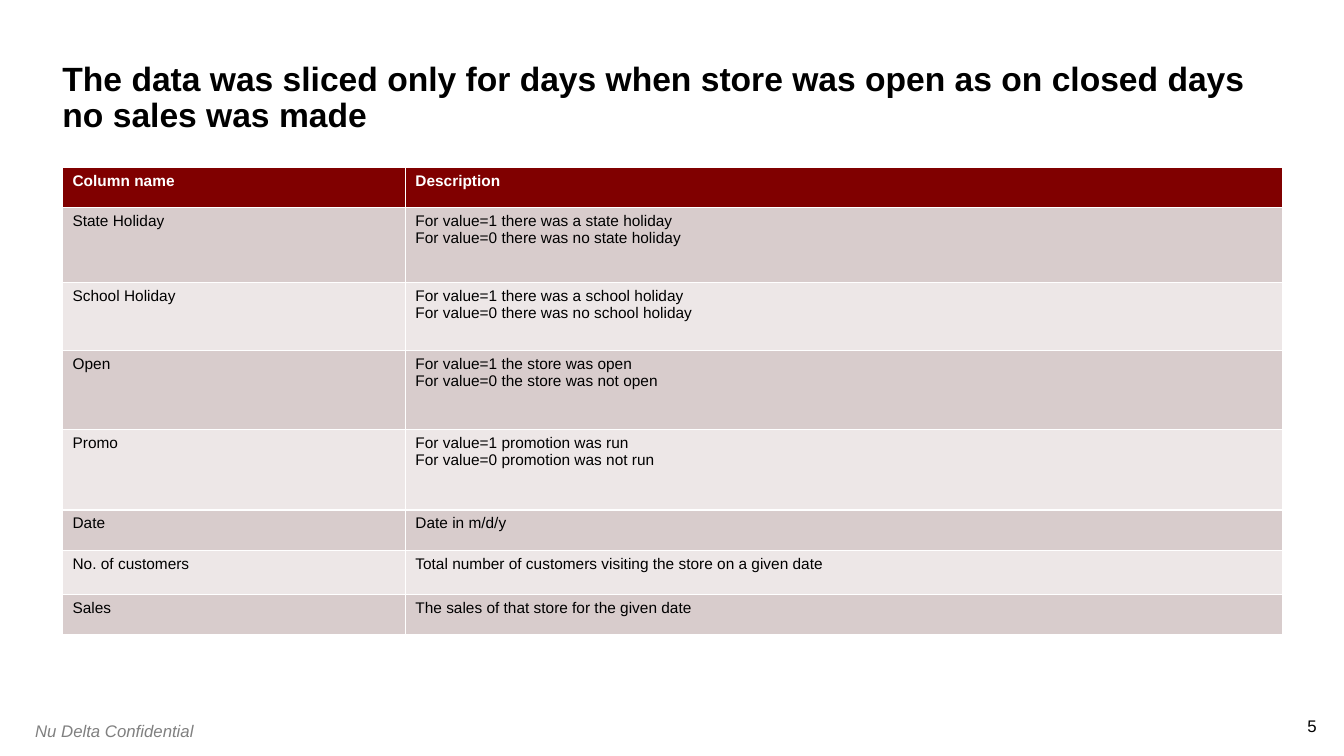
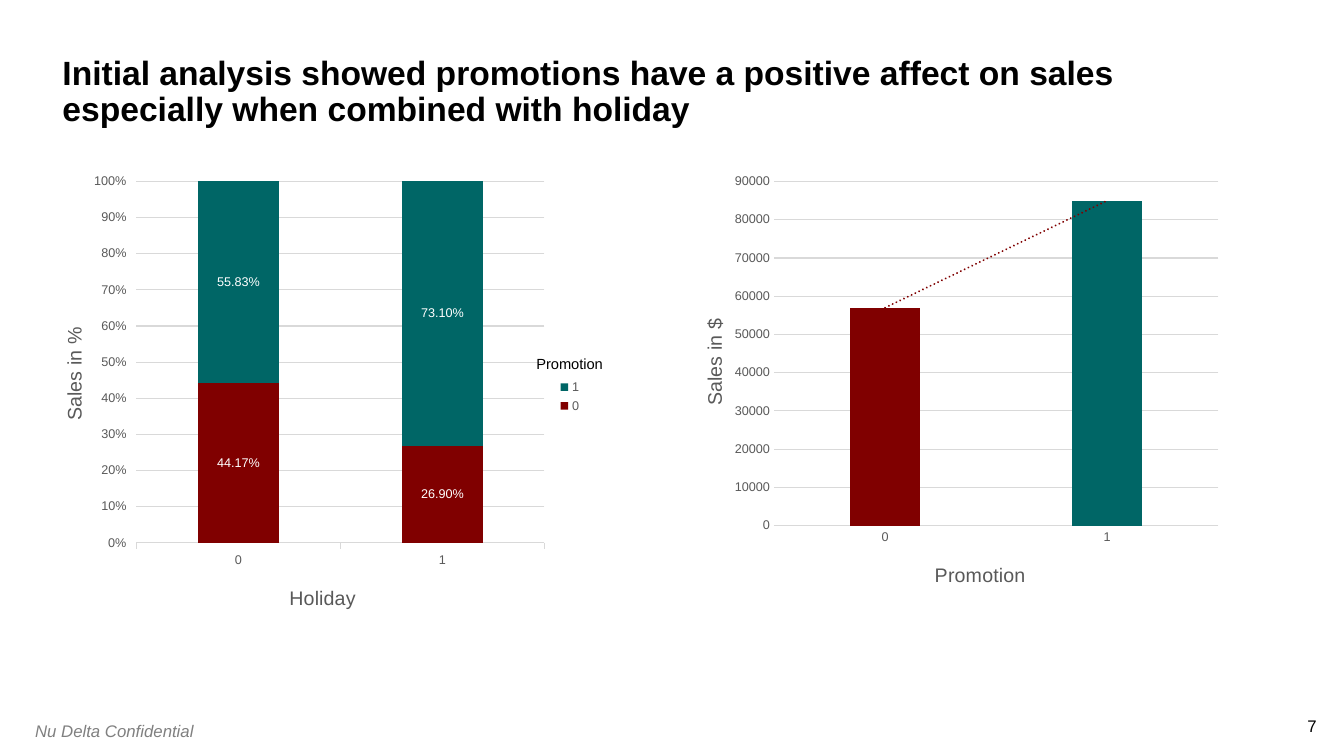
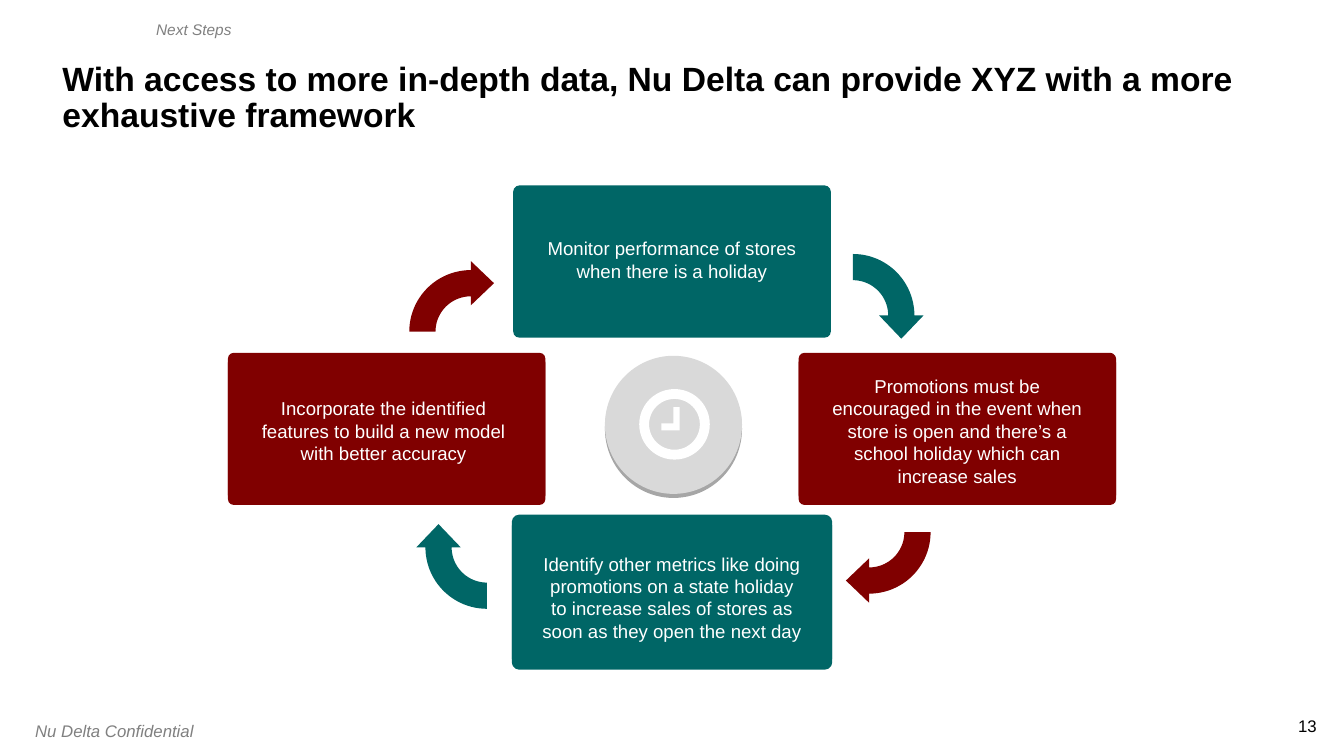
import math

from lxml import etree
from pptx import Presentation
from pptx.chart.data import CategoryChartData
from pptx.dml.color import RGBColor
from pptx.enum import chart as ch, shapes, text
from pptx.oxml import parse_xml
from pptx.oxml.ns import nsdecls, qn
from pptx.util import Inches, Pt

FONT = "Arial"
RED, TEAL, WHITE, BLACK = "800000", "006666", "FFFFFF", "000000"
GREY, AXIS_TEXT, RULE = "808080", "595959", "D9D9D9"
BANDS = ("D8CCCC", "EDE7E7")
FOOTER = "Nu Delta Confidential"
MIDDLE, BOTTOM = text.MSO_ANCHOR.MIDDLE, text.MSO_ANCHOR.BOTTOM
CENTER, RIGHT = text.PP_ALIGN.CENTER, text.PP_ALIGN.RIGHT

COLUMN_WIDTHS = (3.4, 8.7)
ROWS = [  # height, name, description
    (0.4, "Column name", "Description"),
    (0.74, "State Holiday", "For value=1 there was a state holiday\nFor value=0 there was no state holiday"),
    (0.68, "School Holiday", "For value=1 there was a school holiday\nFor value=0 there was no school holiday"),
    (0.78, "Open", "For value=1 the store was open\nFor value=0 the store was not open"),
    (0.8, "Promo", "For value=1 promotion was run\nFor value=0 promotion was not run"),
    (0.4, "Date", "Date in m/d/y"),
    (0.44, "No. of customers", "Total number of customers visiting the store on a given date"),
    (0.4, "Sales", "The sales of that store for the given date"),
]

# Layouts are fractions of the chart: x, y and, where needed, width, height
SHARE_CHART = dict(
    kind=ch.XL_CHART_TYPE.COLUMN_STACKED_100, at=(0.33, 1.64, 5.53, 4.58),
    series=[("0", (0.4417, 0.269), RED), ("1", (0.5583, 0.731), TEAL)],
    gap=150, overlap=100, tick=ch.XL_TICK_MARK.OUTSIDE,
    fmt="0%", top=1, step=0.1, plot=(0.185, 0.035, 0.732, 0.783),
    cat_title=("Holiday", (0.453, 0.903)), val_title=("Sales in %", (0.044, 0.342)))
SALES_CHART = dict(
    kind=ch.XL_CHART_TYPE.COLUMN_CLUSTERED, at=(6.67, 1.64, 5.53, 4.35),
    series=[("Series 1", (57000, 85000), RED)],
    gap=219, overlap=-27, tick=ch.XL_TICK_MARK.NONE,
    fmt="General", top=90000, step=10000, plot=(0.182, 0.037, 0.797, 0.785),
    cat_title=("Promotion", (0.464, 0.898)), val_title=("Sales in $", (0.046, 0.341)))
LEGEND_AT = (0.935, 0.456, 0.055, 0.09)

STEP_SIZE = (3.15, 1.47)
STEPS = [  # left, top, text shift (x, y), colour, outlined, text
    (7.92, 3.5, (0, 0.04), RED, False,
     "Promotions must be encouraged in the event when store is open and there’s a school holiday which can increase sales"),
    (2.26, 3.5, (-0.03, 0.04), RED, False,
     "Incorporate the identified features to build a new model with better accuracy"),
    (5.09, 1.84, (0, 0), TEAL, False,
     "Monitor performance of stores when there is a holiday"),
    (5.09, 5.12, (0, 0.07), TEAL, True,
     "Identify other metrics like doing promotions on a state holiday to increase sales of stores as soon as they open the next day"),
]
# Arc centres, clockwise from the upper right; each is turned a quarter further
ARROWS = [(8.46, 3.13, TEAL), (8.62, 5.28, RED), (4.83, 5.43, TEAL), (4.67, 3.29, RED)]
CLOCK_HANDS = [(6.56, 4.2), (6.68, 4.2), (6.68, 4.04), (6.74, 4.04), (6.74, 4.27), (6.56, 4.27)]


def rgb(color):
    return RGBColor.from_string(color)


def style(font, size, color, **flags):
    values = dict(name=FONT, size=Pt(size), **flags)
    for name, value in values.items():
        setattr(font, name, value)
    font.color.rgb = rgb(color)


def set_text(tf, content, size, color, align=None, spacing=None, **flags):
    for i, line in enumerate(content.split("\n")):
        p = tf.paragraphs[0] if i == 0 else tf.add_paragraph()
        p.alignment, p.line_spacing = align, spacing
        r = p.add_run()
        r.text = line
        style(r.font, size, color, **flags)


def set_insets(tf, left=0, top=0, right=0, bottom=0):
    for side, value in dict(left=left, top=top, right=right, bottom=bottom).items():
        setattr(tf, f"margin_{side}", Inches(value))


def add_text(s, at, content, size, color, anchor=None, inset=True, **format):
    tf = s.shapes.add_textbox(*map(Inches, at)).text_frame
    tf.word_wrap, tf.vertical_anchor = True, anchor
    if not inset:
        set_insets(tf)
    set_text(tf, content, size, color, **format)


def paint(sp, fill, line=None):
    sp.shadow.inherit = False
    sp.fill.solid()
    sp.fill.fore_color.rgb = rgb(fill)
    if line:
        sp.line.color.rgb, sp.line.width = rgb(line), Pt(2)
    else:
        sp.line.fill.background()


def add_shape(s, kind, at, fill, line=None, adjust=None):
    sp = s.shapes.add_shape(kind, *map(Inches, at))
    paint(sp, fill, line)
    if adjust is not None:
        sp.adjustments[0] = adjust
    return sp


def add_outline(s, points, fill):
    points = [(Inches(x), Inches(y)) for x, y in points]
    builder = s.shapes.build_freeform(*points[0])
    builder.add_line_segments(points[1:], close=True)
    paint(builder.convert_to_shape(), fill)


def add_slide(prs, title, number, title_top=0.42):
    """Add a blank slide with the shared title, footer and page number."""
    s = prs.slides.add_slide(prs.slide_layouts[6])
    add_text(s, (12.06, 7.1, 1, 0.2), str(number), 12, BLACK, inset=False, align=RIGHT)
    add_text(s, (0.25, 7.1, 2.46, 0.3), FOOTER, 12, GREY, italic=True)
    add_text(s, (0.62, title_top, 12.1, 0.92), title, 24, BLACK, anchor=BOTTOM,
             inset=False, spacing=0.9, bold=True)
    return s


def add_column_table(s):
    size = (sum(COLUMN_WIDTHS), sum(row[0] for row in ROWS))
    table = s.shapes.add_table(len(ROWS), len(COLUMN_WIDTHS),
                               *map(Inches, (0.62, 1.66, *size))).table
    for column, width in zip(table.columns, COLUMN_WIDTHS):
        column.width = Inches(width)
    for i, (height, *cells) in enumerate(ROWS):
        table.rows[i].height = Inches(height)
        header = i == 0
        for cell, content in zip(table.rows[i].cells, cells):
            cell.fill.solid()
            cell.fill.fore_color.rgb = rgb(RED if header else BANDS[(i - 1) % 2])
            set_text(cell.text_frame, content, 11, WHITE if header else BLACK, bold=header)


def place(element, at, inner=False):
    """Give a chart part a manual layout, in fractions of the chart."""
    for old in element.findall(qn("c:layout")):
        element.remove(old)
    layout = etree.Element(qn("c:layout"))
    manual = etree.SubElement(layout, qn("c:manualLayout"))
    entries = [("layoutTarget", "inner")] if inner else []
    entries += [("xMode", "edge"), ("yMode", "edge"), *zip("xywh", at)]
    for tag, value in entries:
        etree.SubElement(manual, qn(f"c:{tag}")).set("val", str(value))
    before = [e for e in element if e.tag in (qn("c:tx"), qn("c:legendPos"))]
    element.insert(len(before), layout)


def add_column_chart(s, spec_data):
    d = spec_data
    data = CategoryChartData()
    data.categories = ["0", "1"]
    for name, values, _ in d["series"]:
        data.add_series(name, values)
    chart = s.shapes.add_chart(d["kind"], *map(Inches, d["at"]), data).chart
    chart.has_title = chart.has_legend = False
    style(chart.font, 10, BLACK)
    plot = chart.plots[0]
    plot.gap_width, plot.overlap, plot.vary_by_categories = d["gap"], d["overlap"], False
    for series, (*_, color) in zip(plot.series, d["series"]):
        series.format.fill.solid()
        series.format.fill.fore_color.rgb = rgb(color)
    place(chart._chartSpace.chart.plotArea, d["plot"], inner=True)

    cat, val = chart.category_axis, chart.value_axis
    for axis, (title, at) in ((cat, d["cat_title"]), (val, d["val_title"])):
        axis.major_tick_mark = d["tick"]
        style(axis.tick_labels.font, 9, AXIS_TEXT)
        set_text(axis.axis_title.text_frame, title, 14, AXIS_TEXT, bold=False)
        place(axis.axis_title._element, at)
    val.minimum_scale, val.maximum_scale, val.major_unit = 0, d["top"], d["step"]
    val.tick_labels.number_format = d["fmt"]
    val.tick_labels.number_format_is_linked = False
    val.format.line.fill.background()
    for line in (cat.format.line, val.major_gridlines.format.line):
        line.color.rgb, line.width = rgb(RULE), Pt(0.75)
    return chart


def add_share_details(chart):
    for series in chart.plots[0].series:
        labels = series.data_labels
        labels.show_value, labels.position = True, ch.XL_LABEL_POSITION.CENTER
        labels.number_format, labels.number_format_is_linked = "0.00%", False
        style(labels.font, 9, WHITE)
    chart.has_legend = True
    chart.legend.position = ch.XL_LEGEND_POSITION.RIGHT
    chart.legend.include_in_layout = False
    style(chart.legend.font, 9, AXIS_TEXT)
    place(chart.legend._element, LEGEND_AT)


def add_sales_details(chart):
    series = chart.plots[0].series[0]
    fill = series.points[1].format.fill
    fill.solid()
    fill.fore_color.rgb = rgb(TEAL)
    trend = parse_xml(
        f'<c:trendline {nsdecls("c", "a")}><c:spPr><a:ln w="{Pt(1.5)}" cap="rnd">'
        f'<a:solidFill><a:srgbClr val="{RED}"/></a:solidFill><a:prstDash val="sysDot"/>'
        '</a:ln></c:spPr><c:trendlineType val="linear"/>'
        '<c:dispRSqr val="0"/><c:dispEq val="0"/></c:trendline>')
    series._element.find(qn("c:cat")).addprevious(trend)


def add_step(s, left, top, shift, color, outlined, content):
    for drop in (0.04, 0):
        sp = add_shape(s, shapes.MSO_SHAPE.ROUNDED_RECTANGLE, (left, top + drop, *STEP_SIZE),
                       color, line=color if outlined else None, adjust=0.041)
    tf = sp.text_frame
    tf.word_wrap, tf.vertical_anchor = True, MIDDLE
    dx, dy = shift
    set_insets(tf, left=0.27 + dx, right=0.27 - dx, top=2 * dy)
    set_text(tf, content, 13.3, WHITE, align=CENTER)


def arrow_points(cx, cy, turns, inner=0.35, outer=0.61, overhang=0.09, head=0.23, steps=24):
    """Quarter ring ending in an arrowhead, turned clockwise by quarter turns."""
    angles = [math.pi / 2 * (i / steps - 1) for i in range(steps + 1)]

    def arc(radius):
        return [(radius * math.cos(a), radius * math.sin(a)) for a in angles]

    tip = [(outer + overhang, 0), ((inner + outer) / 2, head), (inner - overhang, 0)]
    points = arc(outer) + tip + arc(inner)[::-1]
    for _ in range(turns):
        points = [(-y, x) for x, y in points]
    return [(cx + x, cy + y) for x, y in points]


def main():
    prs = Presentation()
    prs.slide_width, prs.slide_height = Inches(13.33), Inches(7.5)

    s = add_slide(prs, "The data was sliced only for days when store was open as on closed days no sales was made", 5)
    add_column_table(s)

    s = add_slide(prs, "Initial analysis showed promotions have a positive affect on sales "
                  "especially when combined with holiday", 7, title_top=0.36)
    add_share_details(add_column_chart(s, SHARE_CHART))
    add_sales_details(add_column_chart(s, SALES_CHART))
    add_text(s, (5.15, 3.47, 1, 0.28), "Promotion", 10.5, BLACK, align=CENTER)

    s = add_slide(prs, "With access to more in-depth data, Nu Delta can provide XYZ with a more exhaustive framework", 13)
    for step in STEPS:
        add_step(s, *step)
    for turns, (cx, cy, color) in enumerate(ARROWS):
        add_outline(s, arrow_points(cx, cy, turns), color)
    for top, color in ((3.57, "A6A6A6"), (3.53, RULE)):
        add_shape(s, shapes.MSO_SHAPE.OVAL, (6, top, 1.36, 1.37), color)
    add_shape(s, shapes.MSO_SHAPE.DONUT, (6.34, 3.86, 0.7, 0.7), WHITE, adjust=0.14)
    add_outline(s, CLOCK_HANDS, WHITE)
    add_text(s, (1.45, 0.15, 2.16, 0.29), "Next Steps", 11, GREY, italic=True)

    prs.save("out.pptx")


if __name__ == "__main__":
    main()
